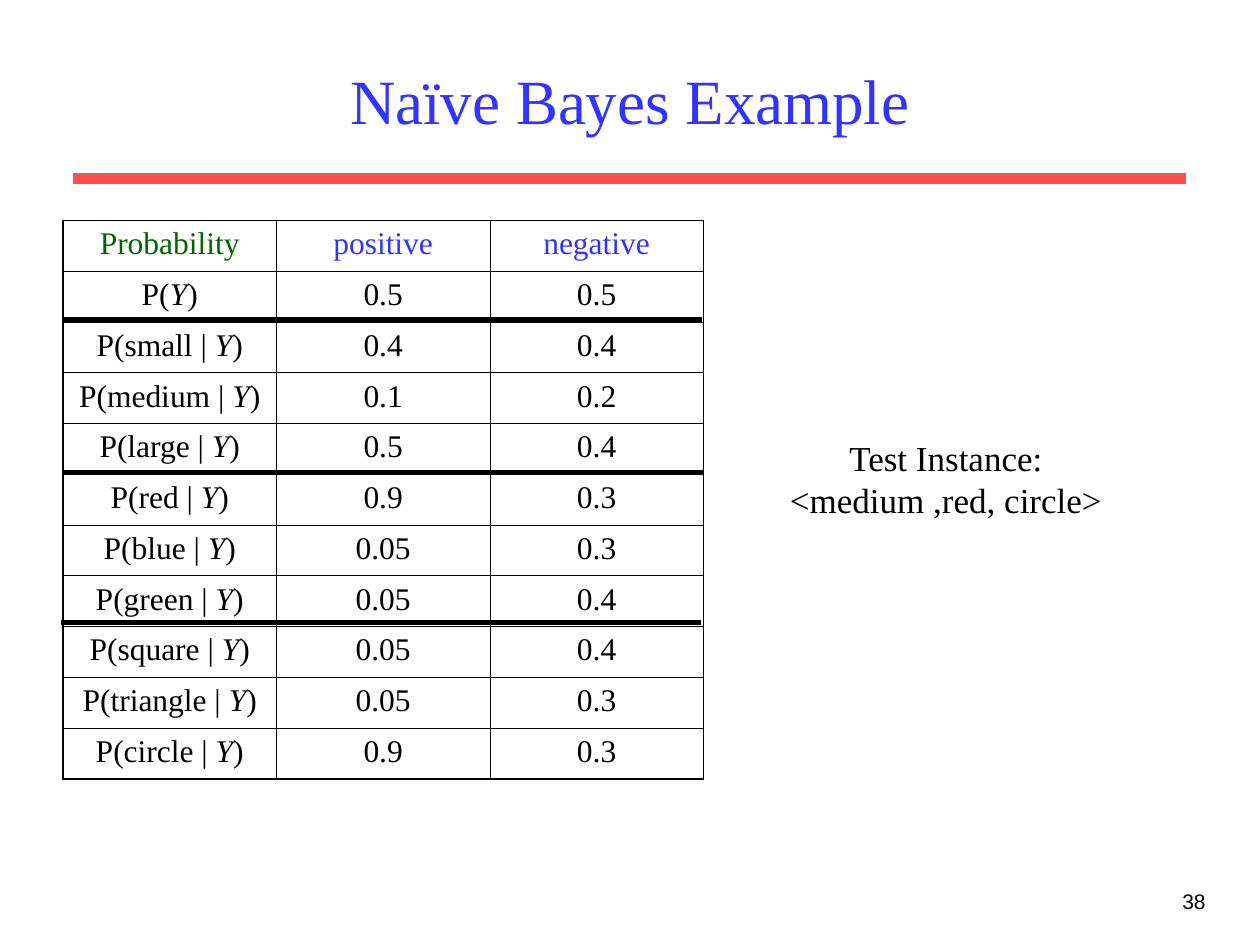
import pptx
import pptx.dml.color
import pptx.enum.shapes
import pptx.enum.text
import pptx.oxml.ns
import pptx.util
from lxml import etree

COLUMNS, ROWS = 120, 90
ALIGN = pptx.enum.text.PP_ALIGN
ANCHOR = pptx.enum.text.MSO_ANCHOR
BLACK, BLUE, GREEN, RED = "000000", "3333FF", "006600", "FF5050"

PROBABILITIES = [
    ("", "0.5", "0.5"),
    ("small | ", "0.4", "0.4"),
    ("medium | ", "0.1", "0.2"),
    ("large | ", "0.5", "0.4"),
    ("red | ", "0.9", "0.3"),
    ("blue | ", "0.05", "0.3"),
    ("green | ", "0.05", "0.4"),
    ("square | ", "0.05", "0.4"),
    ("triangle | ", "0.05", "0.3"),
    ("circle | ", "0.9", "0.3"),
]


def rgb(value):
    return pptx.dml.color.RGBColor.from_string(value)


def set_all(target, values):
    for name, value in values.items():
        setattr(target, name, value)


class SlideBuilder:
    font = "Times New Roman"
    outer_border, inner_border = 1.08, 0.45

    def __init__(self, prs):
        self.prs = prs
        self.s = prs.slides.add_slide(prs.slide_layouts[5])

    def x(self, columns):
        return round(self.prs.slide_width * columns / COLUMNS)

    def y(self, rows):
        return round(self.prs.slide_height * rows / ROWS)

    def box(self, left, top, width, height):
        return self.x(left), self.y(top), self.x(width), self.y(height)

    def add_runs(self, p, parts, size, color=BLACK, align=ALIGN.CENTER, font=None):
        p.alignment = align
        for text, italic in parts:
            r = p.add_run()
            r.text = text
            set_all(r.font, {"name": font or self.font, "size": pptx.util.Pt(size),
                             "bold": False, "italic": italic})
            r.font.color.rgb = rgb(color)

    def title(self, text, box):
        sp = self.s.shapes.title
        set_all(sp, dict(zip(("left", "top", "width", "height"), self.box(*box))))
        sp.text_frame.vertical_anchor = ANCHOR.MIDDLE
        self.add_runs(sp.text_frame.paragraphs[0], [(text, False)], 36, BLUE)

    def text(self, lines, box, size, wrap=True, **style):
        tf = self.s.shapes.add_textbox(*self.box(*box)).text_frame
        tf.word_wrap = wrap
        for i, line in enumerate(lines):
            p = tf.add_paragraph() if i else tf.paragraphs[0]
            self.add_runs(p, [(line, False)], size, **style)

    def rule(self, left, top, width, color, weight):
        line = self.s.shapes.add_connector(
            pptx.enum.shapes.MSO_CONNECTOR.STRAIGHT,
            self.x(left), self.y(top), self.x(left + width), self.y(top))
        line.line.color.rgb = rgb(color)
        line.line.width = pptx.util.Pt(weight)
        etree.SubElement(line._element.spPr, pptx.oxml.ns.qn("a:effectLst"))

    def borders(self, cell, outer_sides):
        tc_pr = cell._tc.get_or_add_tcPr()
        for i, (tag, outer) in enumerate(zip(("a:lnL", "a:lnR", "a:lnT", "a:lnB"), outer_sides)):
            weight = self.outer_border if outer else self.inner_border
            ln = etree.Element(pptx.oxml.ns.qn(tag), w=str(pptx.util.Pt(weight)))
            fill = etree.SubElement(ln, pptx.oxml.ns.qn("a:solidFill"))
            etree.SubElement(fill, pptx.oxml.ns.qn("a:srgbClr"), val=BLACK)
            tc_pr.insert(i, ln)

    def table(self, rows, box, size):
        last_row, last_col = len(rows) - 1, len(rows[0]) - 1
        table = self.s.shapes.add_table(len(rows), len(rows[0]), *self.box(*box)).table
        set_all(table, {"first_row": False, "horz_banding": False})
        for i, row in enumerate(rows):
            for j, (parts, color) in enumerate(row):
                cell = table.cell(i, j)
                cell.fill.background()
                set_all(cell, {"margin_left": self.x(1.2), "margin_right": self.x(1.2),
                               "margin_top": self.y(0.6), "margin_bottom": self.y(0.6)})
                self.add_runs(cell.text_frame.paragraphs[0], parts, size, color)
                self.borders(cell, (j == 0, j == last_col, i == 0, i == last_row))


def main():
    prs = pptx.Presentation()
    set_all(prs, {"slide_width": pptx.util.Inches(10), "slide_height": pptx.util.Inches(7.5)})
    slide = SlideBuilder(prs)

    slide.rule(7, 17, 106, RED, 6)
    slide.text(["38"], (91, 84, 25, 6), 12, align=ALIGN.RIGHT, font="Arial")
    slide.title("Naïve Bayes Example", (9, 3, 102, 13))

    header = [([("Probability", False)], GREEN),
              ([("positive", False)], BLUE),
              ([("negative", False)], BLUE)]
    body = [[([("P(" + event, False), ("Y", True), (")", False)], BLACK)]
            + [([(value, False)], BLACK) for value in values]
            for event, *values in PROBABILITIES]
    slide.table([header] + body, (6, 21, 61, 53.2), 18)
    for left, top in ((5.9, 30.4), (6, 45), (5.8, 59.3)):
        slide.rule(left, top, 61, BLACK, 3)

    slide.text(["Test Instance:", "<medium ,red, circle>"], (74, 41, 32.2, 9.2), 20, wrap=False)
    prs.save("out.pptx")


if __name__ == "__main__":
    main()
